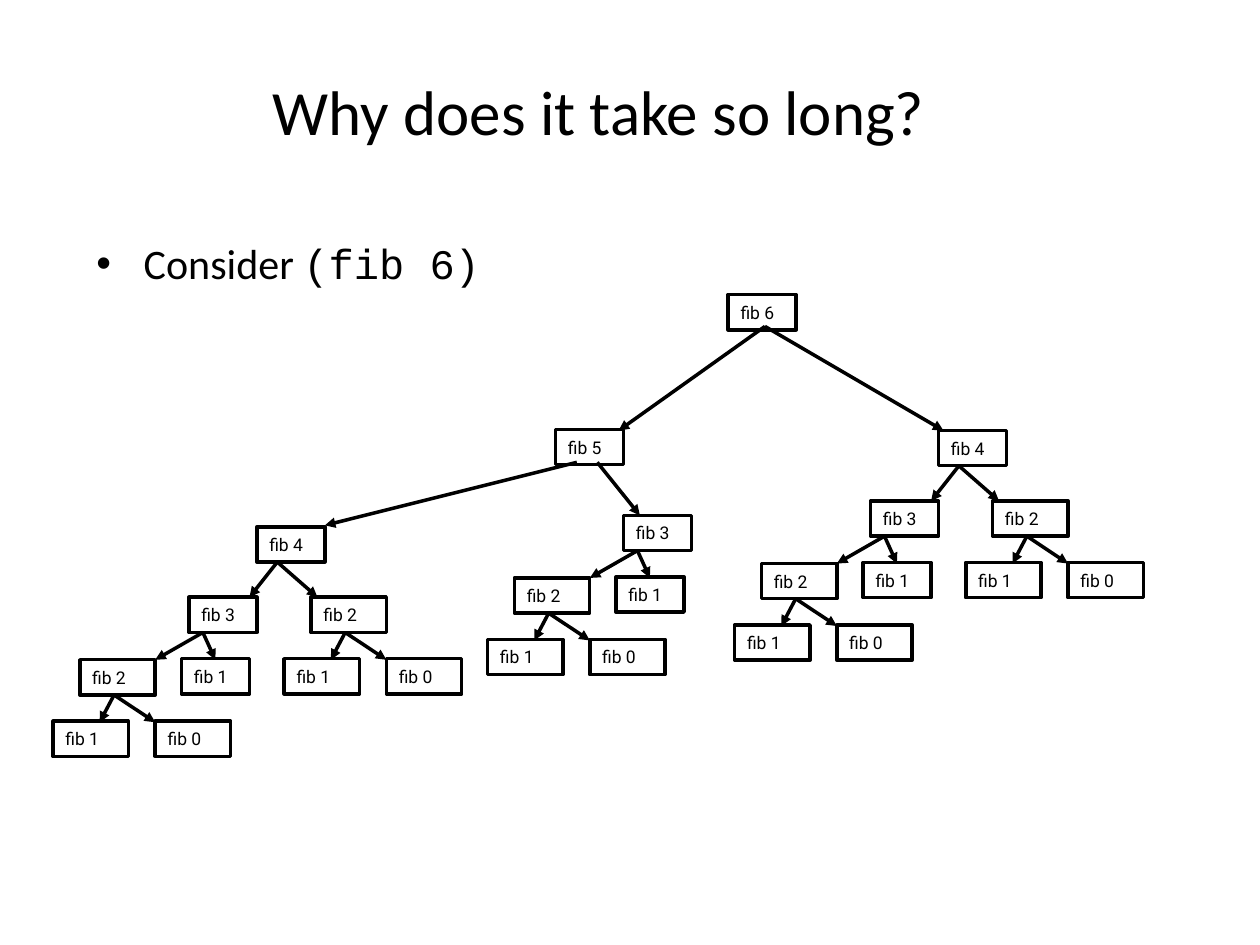
from dataclasses import dataclass

from lxml import etree
from pptx import Presentation
from pptx.dml.color import RGBColor
from pptx.enum.shapes import MSO_CONNECTOR, MSO_SHAPE
from pptx.enum.text import MSO_ANCHOR, MSO_AUTO_SIZE, PP_ALIGN
from pptx.oxml.ns import qn
from pptx.util import Cm, Pt


@dataclass(frozen=True)
class Theme:
    """Colours, fonts and type sizes of the slide."""
    ink: RGBColor = RGBColor(0, 0, 0)
    paper: RGBColor = RGBColor(255, 255, 255)
    text_font: str = "Calibri"
    code_font: str = "Courier New"
    node_font: str = "Roboto"
    title_size: int = 36
    body_size: int = 24
    node_size: int = 10
    line_width: int = 2


@dataclass(frozen=True)
class Branch:
    """Offsets in cm from a call's box to its two sub-calls and arrows."""
    children: tuple  # left (n - 1) and right (n - 2) box corners
    starts: tuple
    ends: tuple


THEME = Theme()
NODE_HEIGHT = 0.71
NARROW, WIDE = 1.37, 1.52
ROOT = (14.68, 5.94)
BRANCHES = {
    6: Branch(((-3.48, 2.72), (4.24, 2.74)), ((0.74, 0.64), (0.74, 0.64)),
              ((-2.21, 2.74), (4.34, 2.74))),
    5: Branch(((-6.02, 1.96), (1.37, 1.73)), ((0.43, 0.66), (0.84, 0.66)),
              ((-4.65, 1.93), (1.7, 1.73))),
    4: Branch(((-1.37, 1.42), (1.09, 1.42)), ((0.41, 0.71), (0.41, 0.71)),
              ((-0.15, 1.42), (1.22, 1.42))),
    3: Branch(((-2.2, 1.26), (-0.15, 1.24)), ((0.28, 0.71), (0.28, 0.71)),
              ((-0.68, 1.26), (0.53, 1.26))),
    2: Branch(((-0.54, 1.24), (1.52, 1.24)), ((0.69, 0.71), (0.69, 0.71)),
              ((0.4, 1.26), (1.52, 1.26))),
}


def place(shape, left, top, width, height):
    """Move and size a shape, in cm."""
    shape.left, shape.top = Cm(left), Cm(top)
    shape.width, shape.height = Cm(width), Cm(height)


def add_run(paragraph, text, font, size):
    """Append formatted text to a paragraph."""
    run = paragraph.add_run()
    run.text = text
    run.font.name = font
    run.font.size = Pt(size)
    run.font.color.rgb = THEME.ink


def fill_title(slide):
    """Write the slide title."""
    title = slide.shapes.title
    place(title, 3.39, 0.85, 17.36, 2.75)
    frame = title.text_frame
    frame.auto_size = MSO_AUTO_SIZE.NONE
    frame.vertical_anchor = MSO_ANCHOR.MIDDLE
    paragraph = frame.paragraphs[0]
    paragraph.alignment = PP_ALIGN.CENTER
    add_run(paragraph, "Why does it take so long?", THEME.text_font, THEME.title_size)


def fill_body(slide):
    """Write the bulleted line."""
    body = slide.placeholders[1]
    place(body, 1.69, 4.66, 9.31, 1.63)
    body.text_frame.auto_size = MSO_AUTO_SIZE.NONE
    paragraph = body.text_frame.paragraphs[0]
    add_run(paragraph, "Consider ", THEME.text_font, THEME.body_size)
    add_run(paragraph, "(fib 6)", THEME.code_font, THEME.body_size)


def add_node(slide, n, x, y, width):
    """Draw the box of one call."""
    node = slide.shapes.add_shape(
        MSO_SHAPE.RECTANGLE, Cm(x), Cm(y), Cm(width), Cm(NODE_HEIGHT))
    node.shadow.inherit = False
    node.fill.background()
    node.line.color.rgb = THEME.ink
    node.line.width = Pt(THEME.line_width)
    frame = node.text_frame
    frame.word_wrap = True
    frame.vertical_anchor = MSO_ANCHOR.MIDDLE
    paragraph = frame.paragraphs[0]
    paragraph.alignment = PP_ALIGN.LEFT
    add_run(paragraph, f"fib {n}", THEME.node_font, THEME.node_size)


def add_arrow(slide, x1, y1, x2, y2):
    """Draw an arrow from a call to a sub-call."""
    arrow = slide.shapes.add_connector(
        MSO_CONNECTOR.STRAIGHT, Cm(x1), Cm(y1), Cm(x2), Cm(y2))
    arrow.line.color.rgb = THEME.ink
    arrow.line.width = Pt(THEME.line_width)
    etree.SubElement(arrow.line._get_or_add_ln(), qn("a:tailEnd"), type="triangle")
    etree.SubElement(arrow._element.spPr, qn("a:effectLst"))


def add_call_tree(slide, n, x, y, width=NARROW):
    """Draw the call fib n and, recursively, all calls below it."""
    add_node(slide, n, x, y, width)
    if n < 2:
        return
    branch = BRANCHES[n]
    parts = zip((n - 1, n - 2), branch.children, branch.starts, branch.ends)
    for child, (dx, dy), (sx, sy), (ex, ey) in parts:
        child_width = WIDE if 2 in (n, child) else NARROW
        add_call_tree(slide, child, x + dx, y + dy, child_width)
        add_arrow(slide, x + sx, y + sy, x + ex, y + ey)


def main():
    """Build and save the slide."""
    deck = Presentation()
    deck.slide_width, deck.slide_height = Cm(25.4), Cm(19.05)
    slide = deck.slides.add_slide(deck.slide_layouts[1])
    slide.background.fill.solid()
    slide.background.fill.fore_color.rgb = THEME.paper
    fill_title(slide)
    fill_body(slide)
    add_call_tree(slide, 6, *ROOT)
    deck.save("out.pptx")


main()
